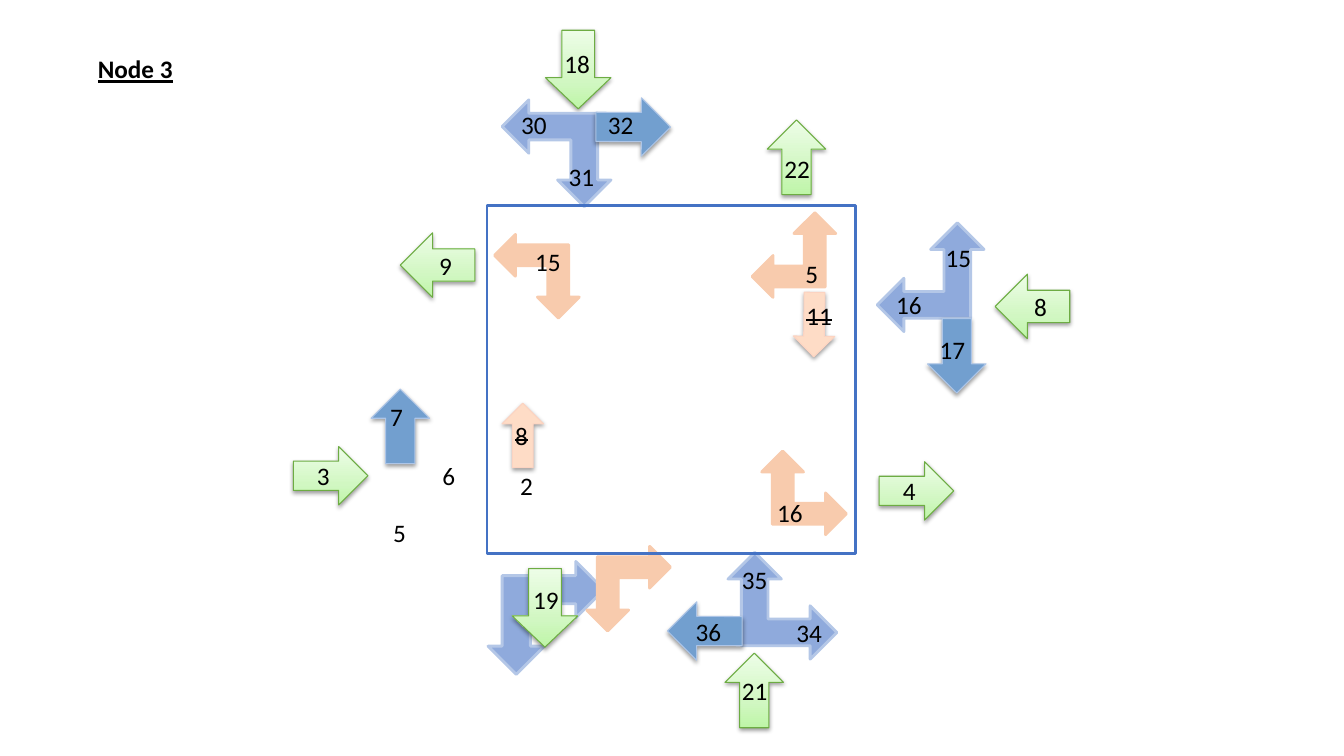
from lxml import etree
from pptx import Presentation
from pptx.dml.color import RGBColor
from pptx.enum.shapes import MSO_SHAPE as Kind
from pptx.enum.text import MSO_ANCHOR as Anchor, PP_ALIGN as Align
from pptx.oxml import parse_xml
from pptx.util import Inches, Pt

BLACK = RGBColor(0x00, 0x00, 0x00)
GREEN = RGBColor(0x6D, 0xAC, 0x43)
BLUE = RGBColor(0x8F, 0xAA, 0xDC)
BLUE_EDGE = RGBColor(0xB4, 0xC7, 0xE7)
STEEL = RGBColor(0x72, 0x9F, 0xCF)
STEEL_EDGE = RGBColor(0xAD, 0xC5, 0xE7)
PEACH = RGBColor(0xF8, 0xCB, 0xAD)
PALE = RGBColor(0xFE, 0xDC, 0xC6)
PALE_EDGE = RGBColor(0xFC, 0xD3, 0xC1)
FRAME = RGBColor(0x44, 0x72, 0xC4)
STOPS = [(0, "BEF5A7"), (35, "D1F7C2"), (100, "EDFDE7")]
NS = "http://schemas.openxmlformats.org/drawingml/2006/main"

# Content: green arrows by kind, with size, then (left, top, text)
LINKS = [
    (Kind.RIGHT_ARROW, 0.74, 0.58, [(8.72, 4.58, "4"), (2.91, 4.43, "3")]),
    (Kind.DOWN_ARROW, 0.65, 0.78, [(5.08, 5.64, ""), (5.41, 0.3, "")]),
    (Kind.UP_ARROW, 0.58, 0.74, [(7.19, 6.48, ""), (7.61, 1.19, "")]),
    (Kind.LEFT_ARROW, 0.74, 0.64, [(9.87, 2.72, "8"), (3.97, 2.31, "9")]),
]

# Two-headed turns: left, top, rotation
EXIT = (4.84, 5.57, 180)
INNER = [(5.82, 5.42, 180), (4.91, 2.32, 270), (7.46, 2.11, 0), (7.56, 4.47, 90)]
OUTER = [(7.23, 5.47, 90), (4.99, 0.98, 270), (8.7, 2.21, 0)]

# Straight moves: left, top, rotation
STEELS = [(3.68, 3.86, 0), (9.2, 3.16, 180), (5.99, 0.89, 90.2), (6.7, 5.89, 270.2)]
PALES = [(4.98, 4, 0), (7.87, 2.9, 180.7)]

# Labels: text, left, top, then width and height where they differ
LABELS = [
    ("19", 5.19, 5.75, 0.49, 0.7), ("22", 7.68, 1.47), ("18", 5.5, 0.43),
    ("6", 4.29, 4.52), ("5", 3.8, 5.08), ("21", 7.26, 6.65),
    ("30", 5.07, 1.04), ("34", 7.8, 6.08), ("16", 8.79, 2.82),
    ("15", 9.28, 2.35), ("2", 5.06, 4.62), ("35", 7.26, 5.55, 0.5, 0.7),
    ("31", 5.54, 1.55, 0.55), ("5", 7.89, 2.51), ("15", 5.21, 2.39),
    ("16", 7.61, 4.88), ("7", 3.77, 3.93, 0.3), ("17", 9.22, 3.27),
    ("32", 5.93, 1.04), ("36", 6.8, 6.07),
]
STRUCK = [("8", 5.01, 4.12, 0.44), ("11", 7.9, 2.93)]

deck = Presentation()
deck.slide_width, deck.slide_height = Inches(13.33), Inches(7.5)
slide = deck.slides.add_slide(deck.slide_layouts[5])


def write(shape, text, align=Align.LEFT, anchor=Anchor.TOP):
    frame = shape.text_frame
    frame.word_wrap = True
    frame.vertical_anchor = anchor
    para = frame.paragraphs[0]
    para.text, para.alignment = text, align
    font = para.font
    font.name, font.size, font.color.rgb = "Calibri", Pt(18), BLACK
    return para


def draw(kind, box, fill, edge, weight, turn=0):
    shape = slide.shapes.add_shape(kind, *map(Inches, box))
    shape.rotation = turn
    shape.shadow.inherit = False
    if fill is None:
        shape.fill.background()
    else:
        shape.fill.solid()
        shape.fill.fore_color.rgb = fill
    shape.line.color.rgb, shape.line.width = edge, Pt(weight)
    return shape


def shade(shape):
    glow = shape._element.spPr.find(f"{{{NS}}}effectLst")
    glow.append(parse_xml(
        f'<a:outerShdw xmlns:a="{NS}" blurRad="40000" dist="20000" dir="5400000" '
        'rotWithShape="0"><a:srgbClr val="000000"><a:alpha val="38000"/>'
        '</a:srgbClr></a:outerShdw>'))


def blend(shape):
    shape.fill.gradient()
    shape.fill.gradient_angle = 90
    stops = shape._element.spPr.find(f".//{{{NS}}}gsLst")
    for old in list(stops):
        stops.remove(old)
    for place, tint in STOPS:
        stop = etree.SubElement(stops, f"{{{NS}}}gs", pos=str(place * 1000))
        etree.SubElement(stop, f"{{{NS}}}srgbClr", val=tint)


def bend(spot, wide, high, fill, edge):
    left, top, turn = spot
    draw(Kind.LEFT_UP_ARROW, (left, top, wide, high), fill, edge, 2, turn)


def label(text, left, top, wide=0.59, high=0.4):
    box = slide.shapes.add_textbox(*map(Inches, (left, top, wide, high)))
    return write(box, text)


# Title
title = slide.shapes.title
title.left, title.top, title.width, title.height = map(Inches, (0.87, 0.48, 1.18, 0.7))
head = write(title, "Node 3")
head.font.bold = head.font.underline = True

# Green arrows over the lower left turn
bend(EXIT, 1.15, 1.12, BLUE, BLUE_EDGE)
for kind, wide, high, spots in LINKS:
    for left, top, text in spots:
        arrow = draw(kind, (left, top, wide, high), GREEN, GREEN, 0.75)
        blend(arrow)
        shade(arrow)
        if kind == Kind.DOWN_ARROW:
            arrow.adjustments[1] = 0.476
        if text:
            write(arrow, text, Align.CENTER, Anchor.MIDDLE)

# Turns and the node frame
for spot in INNER:
    bend(spot, 0.83, 0.84, PEACH, PEACH)
for spot in OUTER:
    bend(spot, 1.06, 1.08, BLUE, BLUE_EDGE)
draw(Kind.RECTANGLE, (4.83, 2.04, 3.66, 3.45), None, FRAME, 2)

# Straight moves
for spots, wide, high, fill, edge in [(STEELS, 0.58, 0.74, STEEL, STEEL_EDGE),
                                      (PALES, 0.41, 0.64, PALE, PALE_EDGE)]:
    for left, top, turn in spots:
        shade(draw(Kind.UP_ARROW, (left, top, wide, high), fill, edge, 0.75, turn))

# Numbers
for item in LABELS:
    label(*item)
for item in STRUCK:
    run = label(*item).runs[0]
    run._r.get_or_add_rPr().set("strike", "sngStrike")

deck.save("out.pptx")
